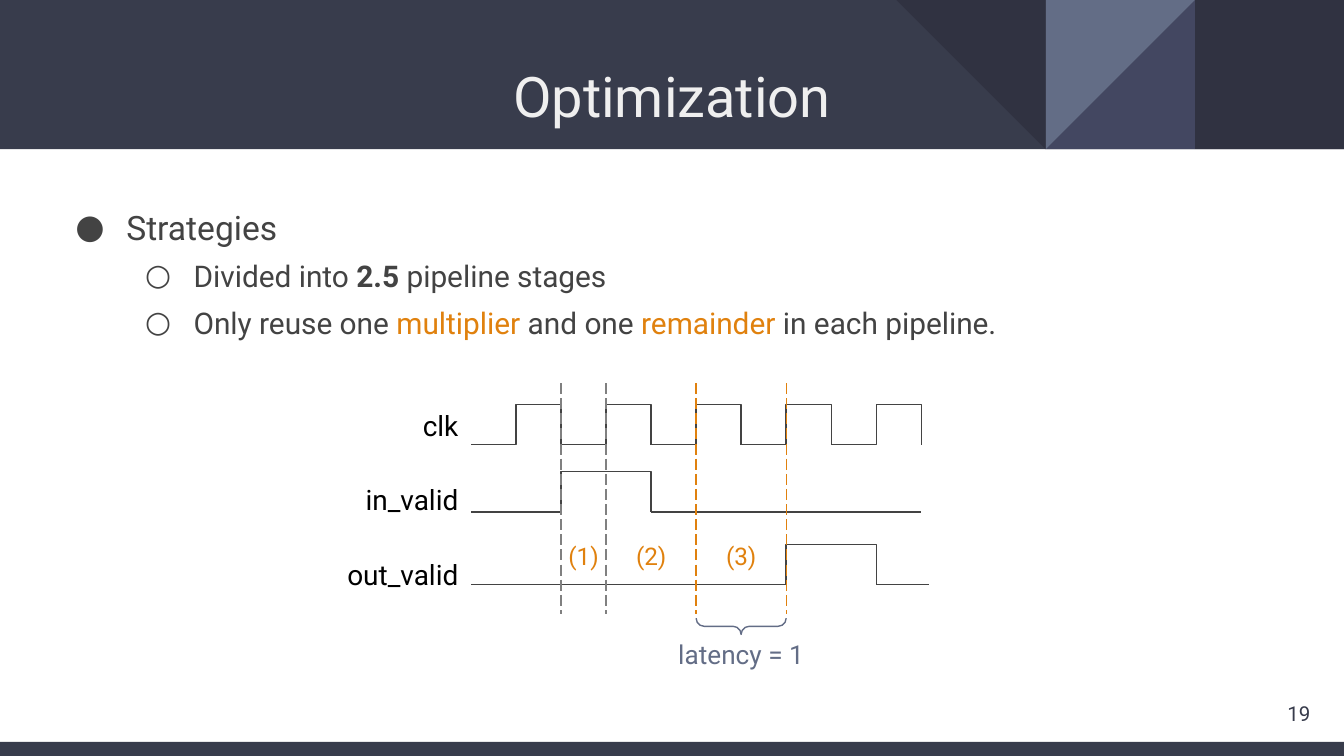
from lxml import etree
from pptx import Presentation
from pptx.dml.color import RGBColor
from pptx.enum.dml import MSO_LINE_DASH_STYLE as Dash
from pptx.enum.shapes import MSO_CONNECTOR_TYPE as Connector, MSO_SHAPE as Shape
from pptx.enum.text import MSO_ANCHOR as Anchor, MSO_AUTO_SIZE as AutoSize, PP_ALIGN as Align
from pptx.oxml.ns import qn
from pptx.util import Inches, Pt

FONT = "Roboto"
NAVY = RGBColor(0x38, 0x3C, 0x4C)
DARK = RGBColor(0x30, 0x32, 0x41)
VIOLET = RGBColor(0x43, 0x47, 0x61)
SLATE = RGBColor(0x63, 0x6D, 0x86)
INK = RGBColor(0x43, 0x43, 0x43)
GREY = RGBColor(0x80, 0x80, 0x80)
ORANGE = RGBColor(0xE0, 0x81, 0x0E)
PALE = RGBColor(0xEF, 0xEF, 0xEF)
BLACK = RGBColor(0, 0, 0)


def add_run(para, text, size, color, bold=False):
    """Add one formatted run to a paragraph."""
    span = para.add_run()
    span.text = text
    span.font.name = FONT
    span.font.size = Pt(size)
    span.font.bold = bold
    span.font.color.rgb = color


def set_frame(shape, anchor):
    """Give a text shape even insets, wrapping and an anchor."""
    frame = shape.text_frame
    frame.word_wrap = True
    frame.auto_size = AutoSize.NONE
    frame.vertical_anchor = anchor
    frame.margin_left = frame.margin_right = Inches(0.1)
    frame.margin_top = frame.margin_bottom = Inches(0.1)
    return frame


def add_label(page, box, text, size, color, align=Align.CENTER, anchor=Anchor.TOP):
    """Add a one-line text box."""
    shape = page.shapes.add_textbox(*map(Inches, box))
    para = set_frame(shape, anchor).paragraphs[0]
    para.alignment = align
    add_run(para, text, size, color)


def add_block(page, kind, box, fill=None, line=None, rotation=0):
    """Add a flat preset shape with an optional fill and outline."""
    shape = page.shapes.add_shape(kind, *map(Inches, box))
    shape.shadow.inherit = False
    shape.rotation = rotation
    if fill is None:
        shape.fill.background()
    else:
        shape.fill.solid()
        shape.fill.fore_color.rgb = fill
    if line is None:
        shape.line.fill.background()
    else:
        shape.line.color.rgb = line
        shape.line.width = Pt(0.75)
    return shape


def add_line(page, start, end, color=INK, dash=None):
    """Add a thin straight connector."""
    line = page.shapes.add_connector(
        Connector.STRAIGHT, *map(Inches, (*start, *end)))
    line.line.color.rgb = color
    line.line.width = Pt(0.75)
    if dash is not None:
        line.line.dash_style = dash
    etree.SubElement(line.element.spPr, qn("a:effectLst"))


def add_pulse(page, left, base, width, height=0.3):
    """Draw a low half followed by a high half of a signal."""
    middle, right, top = left + width / 2, left + width, base - height
    outline = page.shapes.build_freeform(Inches(left), Inches(base), scale=1.0)
    corners = [(middle, base), (middle, top), (right, top), (right, base)]
    outline.add_line_segments(
        [(Inches(x), Inches(y)) for x, y in corners], close=False)
    shape = outline.convert_to_shape()
    shape.shadow.inherit = False
    shape.fill.background()
    shape.line.color.rgb = INK
    shape.line.width = Pt(0.75)


def add_header(page, box):
    """Draw the title band with its triangle pattern on the right."""
    left, top, width, side = box
    add_block(page, Shape.RECTANGLE, box, NAVY)
    tiles = [
        (1, Shape.RECTANGLE, DARK, 0),
        (2, Shape.RIGHT_TRIANGLE, VIOLET, 270),
        (2, Shape.RIGHT_TRIANGLE, SLATE, 90),
        (3, Shape.RIGHT_TRIANGLE, DARK, 180),
    ]
    for column, kind, fill, rotation in tiles:
        tile = (left + width - column * side, top, side, side)
        add_block(page, kind, tile, fill, rotation=rotation)


def place(holder, box):
    """Move a placeholder to a box and to the front."""
    holder.left, holder.top, holder.width, holder.height = map(Inches, box)
    holder.element.getparent().append(holder.element)


def fill_title(page, box, text):
    """Place and format the title placeholder."""
    title = page.shapes.title
    place(title, box)
    para = set_frame(title, Anchor.TOP).paragraphs[0]
    para.alignment = Align.CENTER
    add_run(para, text, 30, PALE)


def set_bullet(para, char, margin, indent):
    """Set a bullet character, its colour and the hanging indent."""
    props = para._p.get_or_add_pPr()
    props.set("marL", str(Inches(margin)))
    props.set("indent", str(Inches(indent)))
    tint = etree.SubElement(props, qn("a:buClr"))
    etree.SubElement(tint, qn("a:srgbClr"), val=str(INK))
    etree.SubElement(props, qn("a:buFont"), typeface=FONT)
    etree.SubElement(props, qn("a:buChar"), char=char)


def fill_body(page, box, items):
    """Place the body placeholder and fill its two-level list."""
    body = page.placeholders[1]
    place(body, box)
    frame = set_frame(body, Anchor.TOP)
    styles = [("●", 0.5, -0.38, 18), ("○", 1, -0.36, 16)]
    for index, (level, parts) in enumerate(items):
        para = frame.add_paragraph() if index else frame.paragraphs[0]
        char, margin, indent, size = styles[level]
        para.level = level
        para.alignment = Align.LEFT
        para.line_spacing = 1.3
        para.space_before = para.space_after = Pt(0)
        set_bullet(para, char, margin, indent)
        for text, color, bold in parts:
            add_run(para, text, size, color, bold)


def add_timing(page, box):
    """Draw the clock and valid signals with stage marks and latency."""
    left, top, width, height = box
    half = 0.67 / 2
    axis = left + 2.72 - 5 * half
    clock, valid_in, valid_out = top + 0.46, top + 0.96, top + 1.5

    def tick(count):
        """Return the x position after a number of half periods."""
        return axis + count * half

    for cycle in range(5):
        add_pulse(page, tick(2 * cycle), clock, 2 * half)
    add_pulse(page, axis, valid_in, 4 * half)
    add_line(page, (tick(4), valid_in), (tick(10), valid_in))
    add_line(page, (axis, valid_out), (tick(5), valid_out))
    add_pulse(page, tick(5), valid_out, 4 * half)
    add_line(page, (tick(9), valid_out), (left + width, valid_out))

    names = [("clk", 0.09), ("in_valid", 0.64), ("out_valid", 1.2)]
    for name, drop in names:
        add_label(page, (left, top + drop, 1.05, 0.45), name, 15, BLACK, Align.RIGHT)

    for count, color in [(2, GREY), (3, GREY), (5, ORANGE), (7, ORANGE)]:
        add_line(page, (tick(count), top), (tick(count), top + 1.72),
                 color, Dash.LONG_DASH)
    for stage, count in [("(1)", 2.5), ("(2)", 4), ("(3)", 6)]:
        add_label(page, (tick(count) - 0.24, top + 1.08, 0.48, 0.42), stage, 13, ORANGE)

    center = tick(6)
    brace = add_block(page, Shape.LEFT_BRACE,
                      (center - 0.06, top + 1.81 - half, 0.12, 2 * half),
                      line=SLATE, rotation=270)
    brace.adjustments[0] = brace.adjustments[1] = 0.5
    add_label(page, (center - 0.65, top + height - 0.44, 1.3, 0.44),
              "latency = 1", 14, SLATE)


def main():
    """Build and save the deck."""
    deck = Presentation()
    deck.slide_width, deck.slide_height = Inches(10), Inches(10 * 9 / 16)
    page = deck.slides.add_slide(deck.slide_layouts[1])
    add_header(page, (0, 0, 10, 1.11))
    add_block(page, Shape.RECTANGLE, (0, 5.52, 10, 0.11), NAVY)
    fill_body(page, (0.34, 1.35, 9.32, 3.65), [
        (0, [("Strategies", INK, False)]),
        (1, [("Divided into ", INK, False), ("2.5", INK, True),
             (" pipeline stages", INK, False)]),
        (1, [("Only reuse one ", INK, False), ("multiplier", ORANGE, False),
             (" and one ", INK, False), ("remainder ", ORANGE, False),
             ("in each pipeline.", INK, False)]),
    ])
    add_label(page, (9.25, 5.09, 0.6, 0.43), "19", 11, NAVY, Align.RIGHT, Anchor.MIDDLE)
    fill_title(page, (0.34, 0.36, 9.32, 0.76), "Optimization")
    add_timing(page, (2.46, 2.85, 4.45, 2.24))
    deck.save("out.pptx")


if __name__ == "__main__":
    main()
